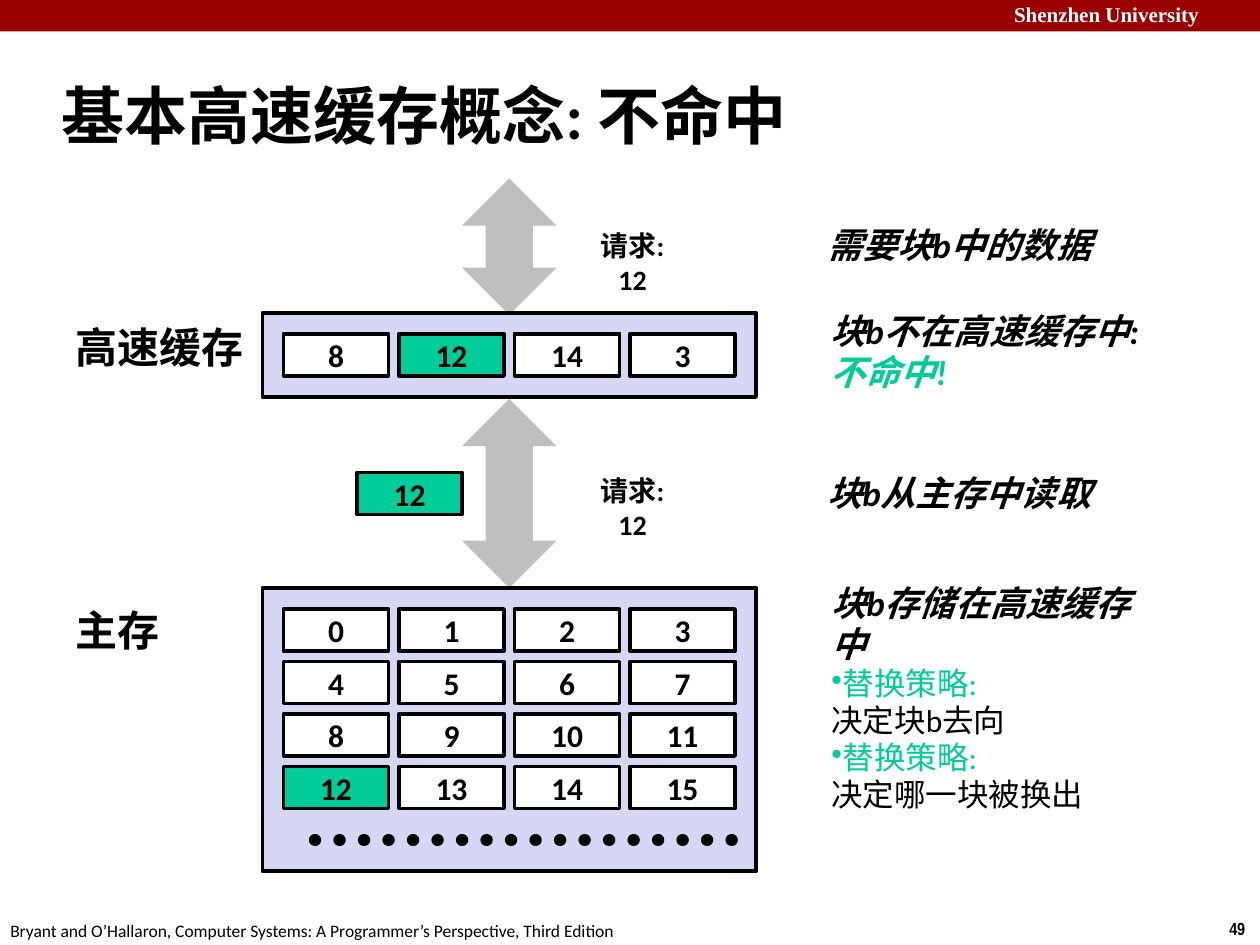
from dataclasses import dataclass

from lxml import etree
from pptx import Presentation
from pptx import util as u
from pptx.dml.color import RGBColor
from pptx.enum import dml, shapes, text
from pptx.oxml import ns


@dataclass(frozen=True)
class Theme:
    banner: str = "990000"
    panel: str = "D6D6F5"
    block: str = "FFFFFF"
    accent: str = "00CC99"
    arrow: str = "BFBFBF"
    ink: str = "000000"
    font: str = "Calibri"
    banner_font: str = "Times New Roman"
    number_font: str = "Arial Narrow"
    title: int = 36
    label: int = 24
    note: int = 20
    block_text: int = 18
    request: int = 16
    banner_text: int = 12
    footer: int = 10
    outline: float = 2.25


THEME = Theme()
UNIT = 1 / 12  # grid step in inches
BLOCK_W, BLOCK_H = 10, 4
PITCH_X, PITCH_Y = 11, 5
FIRST_COL = 27
CACHE_ROW, MEMORY_ROW = 31.8, 58


def grid(*steps):
    return [u.Inches(step * UNIT) for step in steps]


def add_bullet(paragraph):
    props = paragraph._p.get_or_add_pPr()
    props.set("marL", "0")
    props.set("indent", "0")
    etree.SubElement(props, ns.qn("a:buChar")).set("char", "•")


def write(frame, paragraphs, size=THEME.note, color=THEME.ink, font=THEME.font,
          bold=True, italic=False, align=text.PP_ALIGN.LEFT,
          anchor=text.MSO_ANCHOR.TOP, wrap=True, spacing=None):
    """Each paragraph is a list of lines; a line is (words, format overrides).

    A paragraph whose first line has bullet=True gets a bullet.
    """
    if isinstance(paragraphs, str):
        paragraphs = [[(paragraphs, {})]]
    frame.word_wrap = wrap
    frame.vertical_anchor = anchor
    for index, lines in enumerate(paragraphs):
        paragraph = frame.paragraphs[0] if index == 0 else frame.add_paragraph()
        if spacing:
            paragraph.line_spacing = spacing
        paragraph.alignment = align
        if lines[0][1].get("bullet"):
            add_bullet(paragraph)
        for number, (words, own) in enumerate(lines):
            if number:
                paragraph.add_line_break()
            run = paragraph.add_run()
            run.text = words
            run.font.name = font
            run.font.size = u.Pt(own.get("size", size))
            run.font.bold = own.get("bold", bold)
            run.font.italic = own.get("italic", italic)
            run.font.color.rgb = RGBColor.from_string(own.get("color", color))


def add_text(slide, place, paragraphs, **style):
    box = slide.shapes.add_textbox(*grid(*place))
    write(box.text_frame, paragraphs, **style)


def add_figure(slide, kind, place, fill, outlined=False):
    figure = slide.shapes.add_shape(kind, *grid(*place))
    figure.shadow.inherit = False
    figure.fill.solid()
    figure.fill.fore_color.rgb = RGBColor.from_string(fill)
    if outlined:
        figure.line.color.rgb = RGBColor.from_string(THEME.ink)
        figure.line.width = u.Pt(THEME.outline)
    else:
        figure.line.fill.background()
    return figure


def add_panel(slide, *place):
    add_figure(slide, shapes.MSO_SHAPE.RECTANGLE, place, THEME.panel, True)


def add_block(slide, col, row, number):
    fill = THEME.accent if number == 12 else THEME.block
    block = add_figure(slide, shapes.MSO_SHAPE.RECTANGLE,
                       (col, row, BLOCK_W, BLOCK_H), fill, True)
    write(block.text_frame, str(number), size=THEME.block_text,
          align=text.PP_ALIGN.CENTER, anchor=text.MSO_ANCHOR.MIDDLE)


def add_blocks(slide, top, numbers, columns=4):
    for index, number in enumerate(numbers):
        row, col = divmod(index, columns)
        add_block(slide, FIRST_COL + col * PITCH_X, top + row * PITCH_Y, number)


def add_dots(slide, left, right, row):
    dots = slide.shapes.add_connector(shapes.MSO_CONNECTOR.STRAIGHT,
                                      *grid(left, row, right, row))
    dots.line.color.rgb = RGBColor.from_string(THEME.ink)
    dots.line.width = u.Pt(7)
    dots.line.dash_style = dml.MSO_LINE.ROUND_DOT
    dots.line._ln.set("cap", "rnd")
    etree.SubElement(dots._element.spPr, ns.qn("a:effectLst"))


def add_frame(slide):
    """Banner, slide number, source line and title."""
    add_figure(slide, shapes.MSO_SHAPE.RECTANGLE, (0, 0, 120, 3), THEME.banner)
    add_text(slide, (95.4, -0.4, 25.4, 3.6), "Shenzhen University",
             size=THEME.banner_text, font=THEME.banner_font, color=THEME.block)
    add_text(slide, (115.9, 86.8, 4.1, 3.2), "49", size=THEME.footer,
             font=THEME.number_font, wrap=False)
    add_text(slide, (-0.2, 87, 61, 3.2),
             "Bryant and O’Hallaron, Computer Systems: "
             "A Programmer’s Perspective, Third Edition",
             size=THEME.footer, bold=False, wrap=False)
    add_text(slide, (4.7, 5.9, 99.6, 10), "基本高速缓存概念: 不命中",
             size=THEME.title, anchor=text.MSO_ANCHOR.MIDDLE)


def add_notes_column(slide):
    policy = {"size": THEME.block_text, "bold": False, "italic": False}
    heading = {**policy, "color": THEME.accent, "bullet": True}
    notes = [
        ((77.6, 20.8, 27.5, 5.2), "需要块b中的数据"),
        ((77.9, 29, 31.7, 9.2), [[("块b不在高速缓存中:", {})],
                                 [("不命中!", {"color": THEME.accent})]]),
        ((77.6, 44.5, 27.5, 5.2), "块b从主存中读取"),
        ((78, 56.9, 34.1, 19.3), [[("块b存储在高速缓存中", {})],
                                  [("替换策略:", heading), ("决定块b去向", policy)],
                                  [("替换策略:", heading), ("决定哪一块被换出", policy)]]),
    ]
    for place, paragraphs in notes:
        add_text(slide, place, paragraphs, italic=True, spacing=0.98,
                 anchor=text.MSO_ANCHOR.MIDDLE)


def main():
    deck = Presentation()
    deck.slide_width, deck.slide_height = u.Inches(10), u.Inches(7.5)
    slide = deck.slides.add_slide(deck.slide_layouts[6])

    add_frame(slide)
    for top, height in ((17, 13), (38, 18)):
        add_figure(slide, shapes.MSO_SHAPE.UP_DOWN_ARROW,
                   (44, top, 9, height), THEME.arrow)

    add_panel(slide, 25, 29.8, 47, 8)
    add_blocks(slide, CACHE_ROW, (8, 12, 14, 3))
    add_panel(slide, 25, 56, 47, 27)
    add_blocks(slide, MEMORY_ROW, range(16))
    add_dots(slide, 30, 70, 80)
    add_block(slide, 34, 45, 12)

    for row, width, name in ((30, 18.4, "高速缓存"), (57, 10.4, "主存")):
        add_text(slide, (6, row, width, 6), name, size=THEME.label, wrap=False)
    for row in (21.2, 44.5):
        add_text(slide, (54.8, row, 10.9, 4.4), "请求: 12", size=THEME.request,
                 align=text.PP_ALIGN.CENTER)
    add_notes_column(slide)

    deck.save("out.pptx")


if __name__ == "__main__":
    main()
